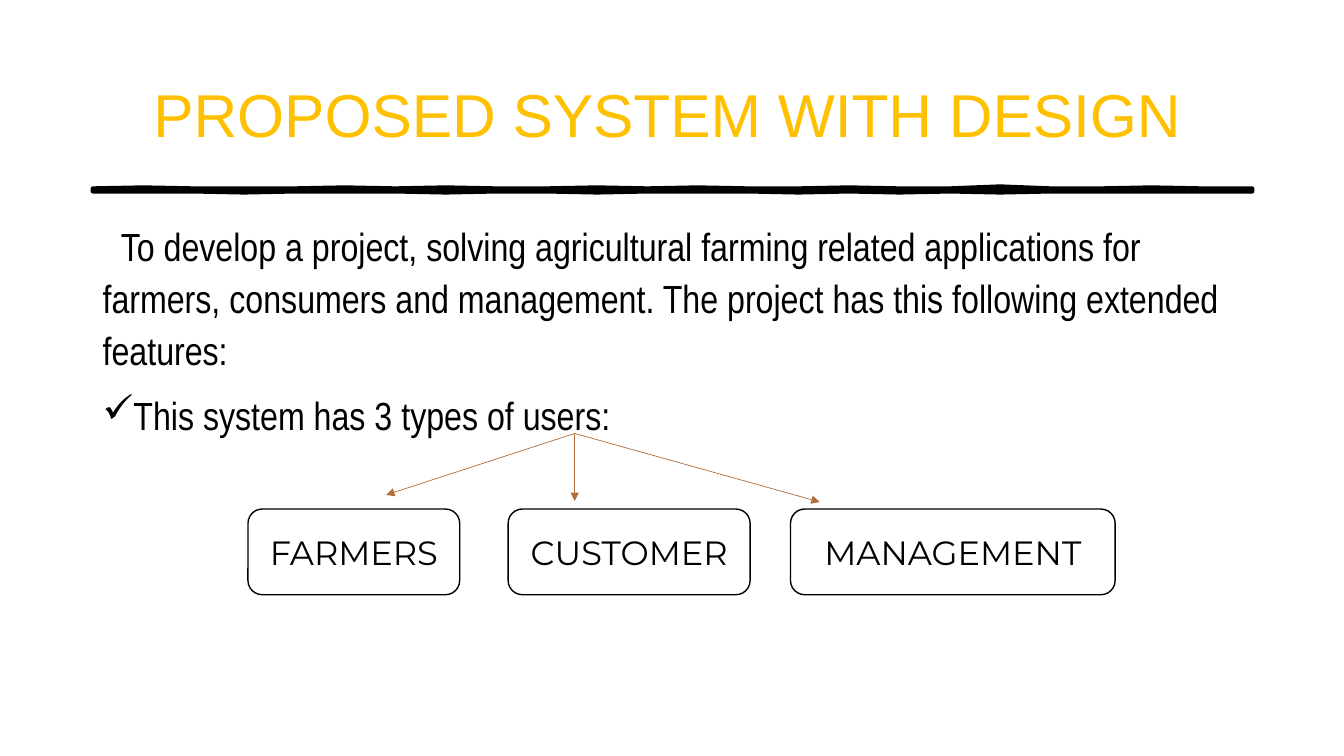
from pptx import Presentation
from pptx.dml.color import RGBColor
from pptx.enum.shapes import MSO_CONNECTOR, MSO_SHAPE
from pptx.enum.text import MSO_ANCHOR, MSO_AUTO_SIZE, PP_ALIGN
from pptx.oxml.ns import qn
from pptx.util import Inches, Pt
from lxml.etree import SubElement

COLORS = {"ink": "000000", "gold": "FFC000", "paper": "FFFFFF", "arrow": "B16D3B"}
INTRO = ("To develop a project, solving agricultural farming related applications "
         "for farmers, consumers and management. The project has this following "
         "extended features:")
# Users: name, left, width of the box, tip of the arrow
USERS = [("FARMERS", 2.46, 2.1, (3.83, 4.91)),
         ("CUSTOMER", 5.04, 2.4, (5.7, 4.97)),
         ("MANAGEMENT", 7.84, 3.22, (8.13, 4.98))]
# Height of the brush stroke's edges, in hundredths of an inch
TOP = [0, -1, 0, 0, 0, -1, 0, -1, 0, 0, -1, 0, -1, 0, 0, -1, 0, 0, -2, 0, 0, -1, 0, 0]
BOTTOM = [3, 3, 3, 4, 3, 3, 3, 4, 3, 3, 4, 3, 3, 3, 4, 3, 4, 3, 4, 3, 3, 3, 3, 3]


def color(name):
    return RGBColor.from_string(COLORS[name])


def style(para, font, size, tint):
    para.font.name = font
    para.font.size = Pt(size)
    para.font.color.rgb = color(tint)


def place(shape, box):
    shape.left, shape.top, shape.width, shape.height = map(Inches, box)


def add_title(slide, box):
    title = slide.shapes.title
    place(title, box)
    frame = title.text_frame
    frame.text = "PROPOSED SYSTEM WITH DESIGN"
    frame.auto_size = MSO_AUTO_SIZE.NONE
    frame.vertical_anchor = MSO_ANCHOR.MIDDLE
    frame.margin_left = Inches(0.6)
    para = frame.paragraphs[0]
    para.alignment = PP_ALIGN.LEFT
    style(para, "Arial", 43.2, "gold")


def add_stroke(slide, left, top, width):
    """Draw the uneven brush stroke under the title."""
    step = width / (len(TOP) - 1)
    upper = [(left + i * step, top + y / 100) for i, y in enumerate(TOP)]
    lower = [(left + i * step, top + y / 100) for i, y in enumerate(BOTTOM)]
    points = [(Inches(x), Inches(y)) for x, y in upper + lower[::-1]]
    pen = slide.shapes.build_freeform(*points[0])
    pen.add_line_segments(points[1:], close=True)
    stroke = pen.convert_to_shape()
    stroke.shadow.inherit = False
    stroke.fill.solid()
    stroke.fill.fore_color.rgb = color("ink")
    stroke.line.color.rgb = color("ink")
    stroke.line.width = Pt(3)


def add_body(slide, box):
    frame = slide.shapes.add_textbox(*map(Inches, box)).text_frame
    frame.word_wrap = True
    intro, point = frame.paragraphs[0], frame.add_paragraph()
    intro.text = INTRO
    point.text = "This system has 3 types of users:"
    for para, margin, indent in ((intro, 0, 0.18), (point, 0.25, -0.25)):
        style(para, "Arial Narrow", 28, "ink")
        para.line_spacing = 1.1
        para.space_before = Pt(10)
        props = para._p.get_or_add_pPr()
        props.set("marL", str(Inches(margin)))
        props.set("indent", str(Inches(indent)))
    bullet = SubElement(props, qn("a:buChar"))
    bullet.set("char", "✓")
    props.insert_element_before(bullet, "a:tabLst", "a:defRPr", "a:extLst")


def add_user(slide, name, box):
    shape = slide.shapes.add_shape(MSO_SHAPE.FLOWCHART_ALTERNATE_PROCESS,
                                   *map(Inches, box))
    shape.shadow.inherit = False
    shape.fill.solid()
    shape.fill.fore_color.rgb = color("paper")
    shape.line.color.rgb = color("ink")
    shape.line.width = Pt(1)
    frame = shape.text_frame
    frame.text = name
    frame.vertical_anchor = MSO_ANCHOR.MIDDLE
    para = frame.paragraphs[0]
    para.alignment = PP_ALIGN.CENTER
    style(para, "Montserrat", 24, "ink")


def add_arrow(slide, start, end):
    arrow = slide.shapes.add_connector(MSO_CONNECTOR.STRAIGHT,
                                       *map(Inches, start + end))
    arrow.line.color.rgb = color("arrow")
    arrow.line.width = Pt(0.5)
    SubElement(arrow.line._get_or_add_ln(), qn("a:tailEnd")).set("type", "triangle")
    SubElement(arrow._element.spPr, qn("a:effectLst"))


def add_users(slide, top, height, start):
    for name, left, width, tip in USERS:
        add_user(slide, name, (left, top, width, height))
        add_arrow(slide, start, tip)


def main():
    deck = Presentation()
    deck.slide_width, deck.slide_height = Inches(13.33), Inches(7.5)
    slide = deck.slides.add_slide(deck.slide_layouts[5])
    left, width = 0.92, 11.5
    add_stroke(slide, left, 1.87, width)
    add_title(slide, (left, 0.4, width, 1.45))
    add_body(slide, (left, 2.11, width, 4.65))
    add_users(slide, 5.05, 0.85, (5.7, 4.3))
    deck.save("out.pptx")


if __name__ == "__main__":
    main()
